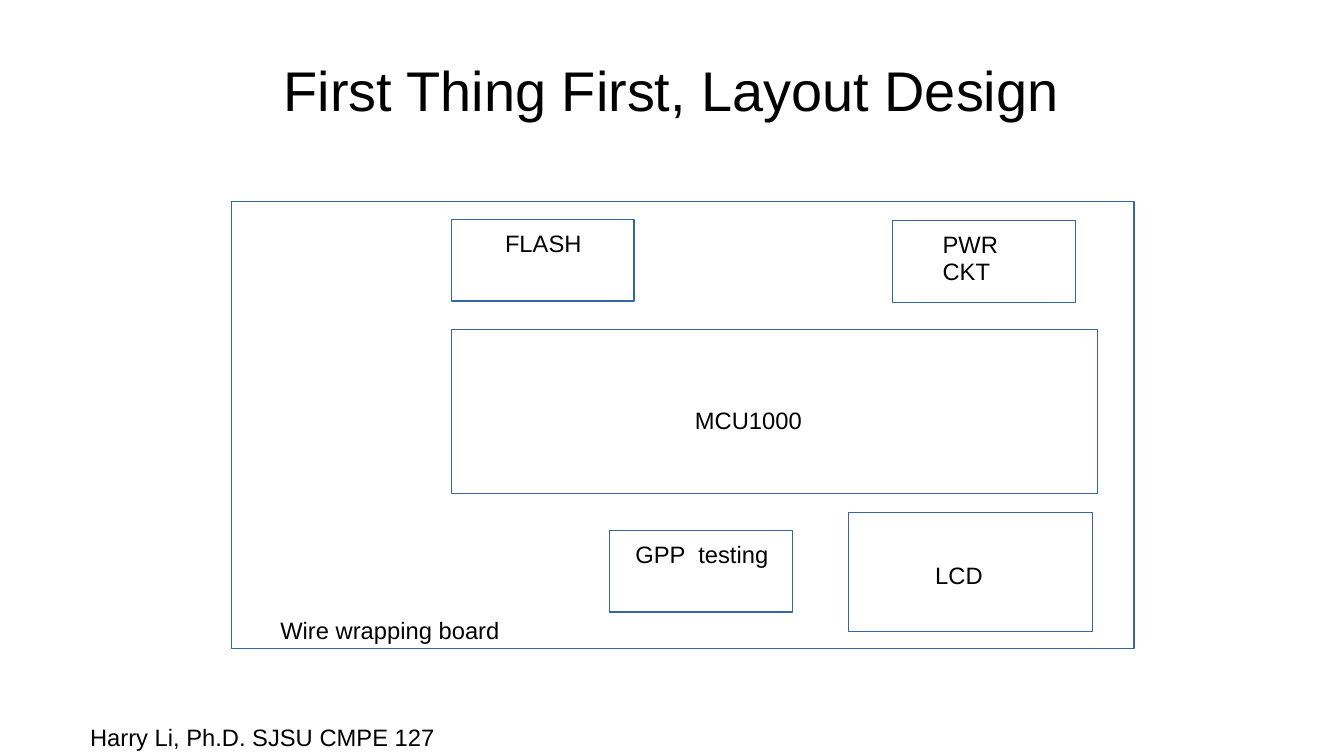
from pptx import Presentation
from pptx.dml.color import RGBColor
from pptx.enum import shapes, text
from pptx.util import Inches, Pt

# Content: boxes are left, top, width, height in inches
TITLE = "First Thing First, Layout Design"
LEFT, CENTER = text.PP_ALIGN.LEFT, text.PP_ALIGN.CENTER
SMALL = (1.5, 0.67)

# Each part: outline box, label box, label lines, alignment
PARTS = [
    ((1.9, 1.65, 7.4, 3.67), (2.2, 5.02, 2.5, 0.3), ["Wire wrapping board"], LEFT),
    ((3.7, 2.7, 5.3, 1.35), (5.6, 3.3, 1.7, 0.3), ["MCU1000"], LEFT),
    ((6.96, 4.2, 2, 0.98), (7.57, 4.57, 1.3, 0.3), ["LCD"], LEFT),
    ((7.32, 1.81, *SMALL), (7.63, 1.86, 0.78, 0.51), ["PWR", "CKT"], LEFT),
    ((5, 4.35, *SMALL), (5.11, 4.4, 1.29, 0.51), ["GPP  testing"], CENTER),
    ((3.7, 1.8, *SMALL), (3.81, 1.85, 1.29, 0.3), ["FLASH"], CENTER),
]
CREDIT = ((0.64, 5.89, 4.2, 0.24), ["Harry Li, Ph.D. SJSU CMPE 127"])

THEME = {
    "font": "Arial",
    "ink": RGBColor(0x00, 0x00, 0x00),
    "outline": RGBColor(0x34, 0x65, 0xA4),
    "title": Pt(33),
    "label": Pt(14),
    "line": Pt(0.75),
    "spacing": 0.93,
}


def inches(box):
    return [Inches(value) for value in box]


def write(frame, lines, size, align, margins, anchor):
    frame.word_wrap = True
    frame.auto_size = text.MSO_AUTO_SIZE.NONE
    frame.vertical_anchor = anchor
    (frame.margin_left, frame.margin_top,
     frame.margin_right, frame.margin_bottom) = inches(margins)
    for index, line in enumerate(lines):
        paragraph = frame.add_paragraph() if index else frame.paragraphs[0]
        paragraph.alignment = align
        paragraph.line_spacing = THEME["spacing"]
        run = paragraph.add_run()
        run.text = line
        run.font.name = THEME["font"]
        run.font.size = size
        run.font.color.rgb = THEME["ink"]


def add_outline(slide, box):
    outline = slide.shapes.add_shape(shapes.MSO_SHAPE.RECTANGLE, *inches(box))
    outline.shadow.inherit = False
    outline.fill.background()
    outline.line.color.rgb = THEME["outline"]
    outline.line.width = THEME["line"]


def add_label(slide, box, lines, align=LEFT, top=0.05):
    label = slide.shapes.add_textbox(*inches(box))
    write(label.text_frame, lines, THEME["label"], align,
          (0.1, top, 0.1, 0.05), text.MSO_ANCHOR.TOP)


def main():
    deck = Presentation()
    deck.slide_width, deck.slide_height = Inches(11.02), Inches(6.2)
    slide = deck.slides.add_slide(deck.slide_layouts[5])

    # Title
    title = slide.shapes.title
    title.left, title.top, title.width, title.height = inches((0.55, 0.25, 9.91, 1.03))
    write(title.text_frame, [TITLE], THEME["title"], CENTER,
          (0, 0, 0, 0), text.MSO_ANCHOR.MIDDLE)

    # Board and its components
    for outline_box, label_box, lines, align in PARTS:
        add_outline(slide, outline_box)
        add_label(slide, label_box, lines, align)

    # Author line
    add_label(slide, *CREDIT, top=0.06)

    deck.save("out.pptx")


if __name__ == "__main__":
    main()
